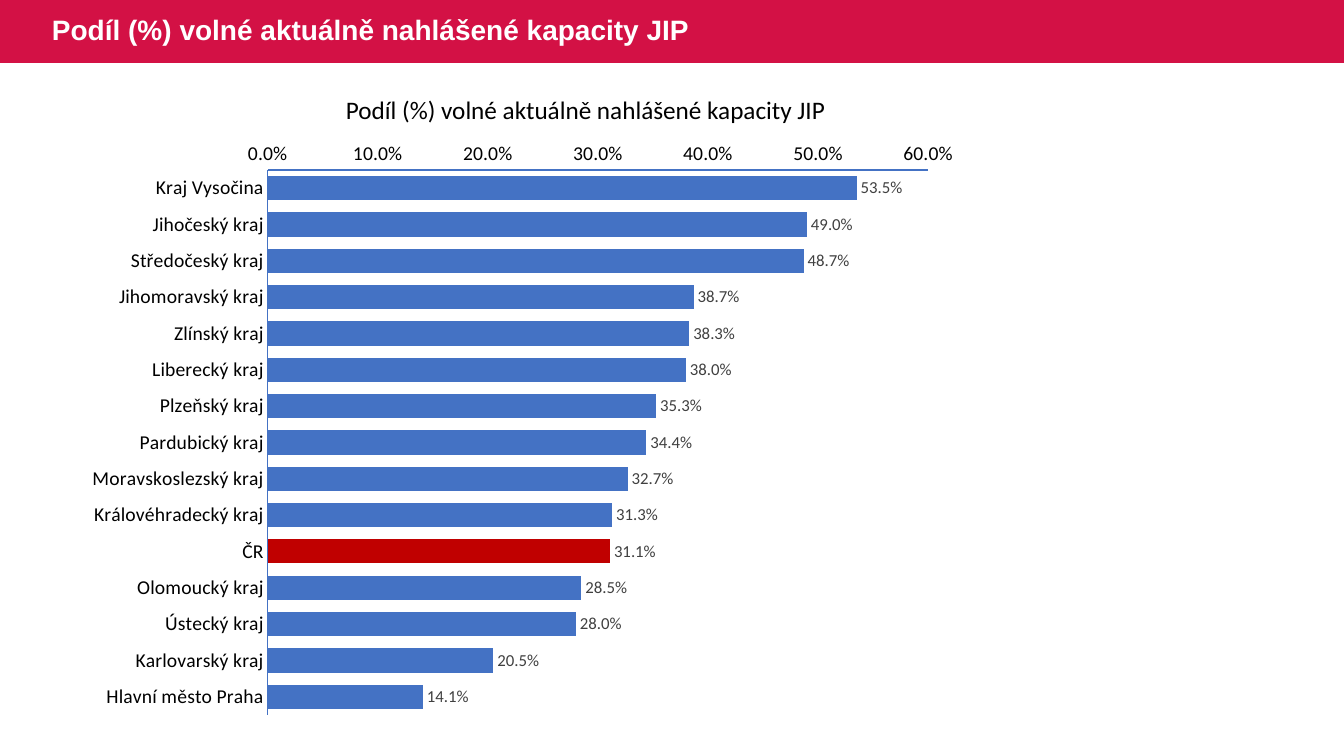
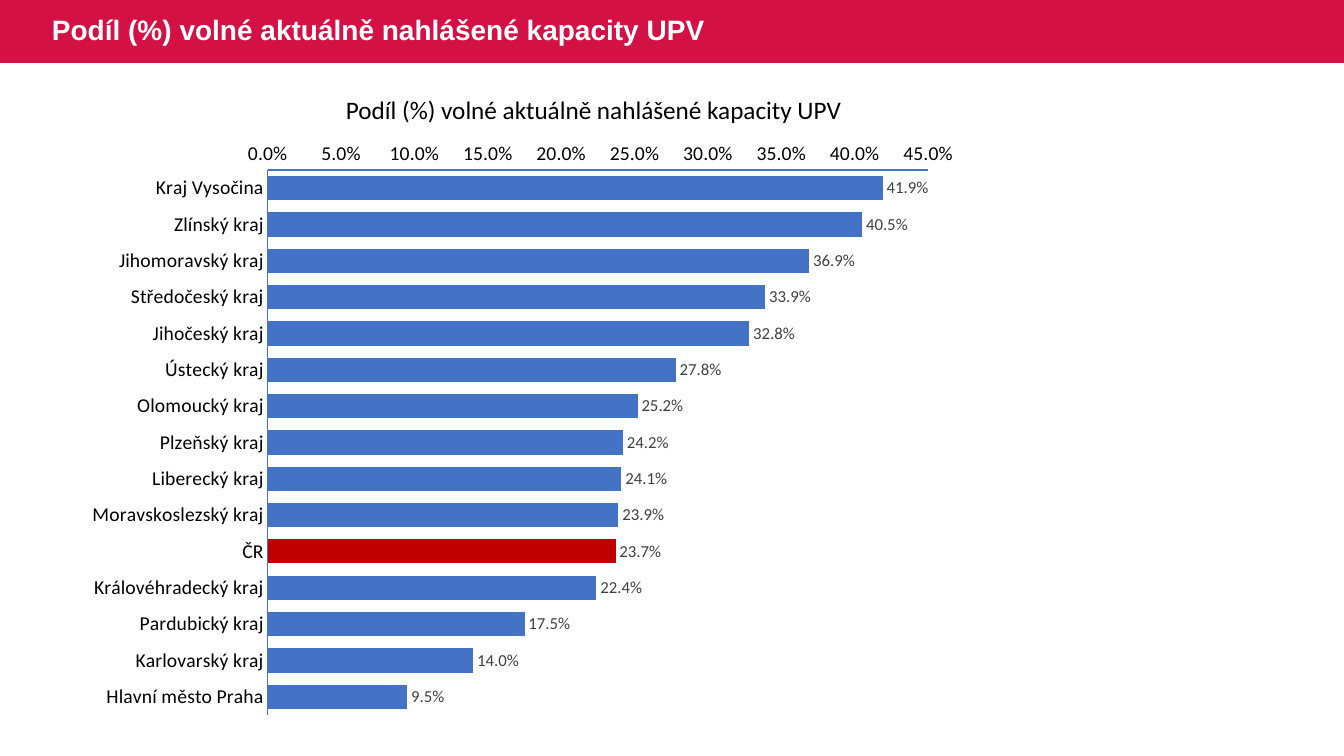
from dataclasses import dataclass

from pptx import Presentation
from pptx.chart.data import CategoryChartData
from pptx.dml.color import RGBColor
from pptx.enum.chart import XL_CHART_TYPE, XL_LABEL_POSITION, XL_TICK_MARK
from pptx.enum.shapes import MSO_SHAPE
from pptx.enum.text import MSO_ANCHOR, MSO_AUTO_SIZE
from pptx.oxml import parse_xml
from pptx.oxml.ns import nsdecls, qn
from pptx.util import Emu, Pt

EMU_PER_PX = 9525
SLIDE_SIZE = (1280, 720)
BAND_BOX = (0, 0, 1280, 60)
TITLE_BOX = (40, 0, 1110, 60)
CAPTION_BOX = (320, 85, 495, 38)
CHART_BOX = (71, 125, 853, 569)
PLOT_BOX = (255, 162, 629, 519)
NATIONAL = "ČR"


@dataclass(frozen=True)
class Theme:
    """Colours, fonts and type sizes of the presentation."""

    band: str = "D31145"
    title: str = "FFFFFF"
    text: str = "000000"
    label: str = "404040"
    bar: str = "4472C4"
    highlight: str = "C00000"
    title_font: str = "Arial"
    body_font: str = "Calibri"
    title_size: int = 20
    caption_size: int = 18
    axis_size: int = 14
    label_size: int = 12
    chart_size: int = 10


def px(*lengths):
    """Turn pixel lengths into EMU."""
    return [Emu(length * EMU_PER_PX) for length in lengths]


def set_font(font, name, size, color, bold=False):
    """Apply typeface, size, colour and weight to a font."""
    font.name, font.size, font.bold = name, Pt(size), bold
    font.color.rgb = RGBColor.from_string(color)


def write_text(text_frame, text, *, name, size, color, bold=False,
               anchor=MSO_ANCHOR.TOP, wrap=True, grow=False, line_spacing=None):
    """Write one formatted paragraph into a text frame."""
    text_frame.word_wrap = wrap
    text_frame.auto_size = MSO_AUTO_SIZE.SHAPE_TO_FIT_TEXT if grow else MSO_AUTO_SIZE.NONE
    text_frame.vertical_anchor = anchor
    paragraph = text_frame.paragraphs[0]
    paragraph.line_spacing = line_spacing
    run = paragraph.add_run()
    run.text = text
    set_font(run.font, name, size, color, bold)


class Deck:
    """Draw styled elements on the current slide."""

    def __init__(self, theme):
        """Start an empty widescreen presentation."""
        self.theme = theme
        self.presentation = Presentation()
        self.presentation.slide_width, self.presentation.slide_height = px(*SLIDE_SIZE)
        self.slide = None

    def add_slide(self, title):
        """Add a slide with the title band."""
        theme = self.theme
        self.slide = self.presentation.slides.add_slide(self.presentation.slide_layouts[6])
        band = self.slide.shapes.add_shape(MSO_SHAPE.RECTANGLE, *px(*BAND_BOX))
        band.shadow.inherit = False
        band.fill.solid()
        band.fill.fore_color.rgb = RGBColor.from_string(theme.band)
        band.line.fill.background()
        self.add_text(TITLE_BOX, title, name=theme.title_font, size=theme.title_size,
                      color=theme.title, bold=True, anchor=MSO_ANCHOR.MIDDLE,
                      line_spacing=0.9)

    def add_text(self, box, text, **text_format):
        """Add a text box."""
        shape = self.slide.shapes.add_textbox(*px(*box))
        write_text(shape.text_frame, text, **text_format)

    def add_caption(self, text):
        """Add the heading above the chart."""
        theme = self.theme
        self.add_text(CAPTION_BOX, text, name=theme.body_font, size=theme.caption_size,
                      color=theme.text, wrap=False, grow=True)

    def style_axis(self, axis):
        """Style one chart axis."""
        theme = self.theme
        axis.has_major_gridlines = False
        axis.major_tick_mark = axis.minor_tick_mark = XL_TICK_MARK.NONE
        axis.format.line.color.rgb = RGBColor.from_string(theme.bar)
        axis.format.line.width = Pt(0.75)
        set_font(axis.tick_labels.font, theme.body_font, theme.axis_size, theme.text)

    def add_bar_chart(self, shares, maximum, step):
        """Add a ranked bar chart with the national bar highlighted."""
        theme = self.theme
        data = CategoryChartData(number_format="0.0%")
        data.categories = list(shares)
        data.add_series("Series 1", [percent / 100 for percent in shares.values()])
        chart = self.slide.shapes.add_chart(
            XL_CHART_TYPE.BAR_CLUSTERED, *px(*CHART_BOX), data).chart
        chart.has_title = chart.has_legend = False
        set_font(chart.font, theme.body_font, theme.chart_size, theme.text)

        self.style_axis(chart.category_axis)
        self.style_axis(chart.value_axis)
        chart.category_axis.reverse_order = True
        chart.value_axis.minimum_scale = 0
        chart.value_axis.maximum_scale = maximum
        chart.value_axis.major_unit = step
        chart.value_axis.tick_labels.number_format = "0.0%"
        chart.value_axis.tick_labels.number_format_is_linked = False

        plot = chart.plots[0]
        plot.gap_width = 50
        plot.vary_by_categories = False
        series = plot.series[0]
        national_bar = series.points[list(shares).index(NATIONAL)]
        for bar, color in ((series, theme.bar), (national_bar, theme.highlight)):
            bar.format.fill.solid()
            bar.format.fill.fore_color.rgb = RGBColor.from_string(color)

        labels = series.data_labels
        labels.show_value = True
        labels.number_format, labels.number_format_is_linked = "0.0%", False
        labels.position = XL_LABEL_POSITION.OUTSIDE_END
        set_font(labels.font, theme.body_font, theme.label_size, theme.label)
        self.place_plot(chart)

    def place_plot(self, chart):
        """Fix the inner plot area inside the chart frame."""
        chart_left, chart_top, chart_width, chart_height = CHART_BOX
        left, top, width, height = PLOT_BOX
        fractions = {"x": (left - chart_left) / chart_width,
                     "y": (top - chart_top) / chart_height,
                     "w": width / chart_width, "h": height / chart_height}
        modes = "".join(f'<c:{key}Mode val="edge"/>' for key in "xy")
        values = "".join(f'<c:{key} val="{value:.4f}"/>' for key, value in fractions.items())
        plot_area = chart.element.find(f"{qn('c:chart')}/{qn('c:plotArea')}")
        for layout in plot_area.findall(qn("c:layout")):
            plot_area.remove(layout)
        plot_area.insert(0, parse_xml(
            f'<c:layout {nsdecls("c")}><c:manualLayout><c:layoutTarget val="inner"/>'
            f'{modes}{values}</c:manualLayout></c:layout>'))


INTENSIVE_CARE = {
    "Kraj Vysočina": 53.5, "Jihočeský kraj": 49.0, "Středočeský kraj": 48.7,
    "Jihomoravský kraj": 38.7, "Zlínský kraj": 38.3, "Liberecký kraj": 38.0,
    "Plzeňský kraj": 35.3, "Pardubický kraj": 34.4, "Moravskoslezský kraj": 32.7,
    "Královéhradecký kraj": 31.3, NATIONAL: 31.1, "Olomoucký kraj": 28.5,
    "Ústecký kraj": 28.0, "Karlovarský kraj": 20.5, "Hlavní město Praha": 14.1,
}
VENTILATION = {
    "Kraj Vysočina": 41.9, "Zlínský kraj": 40.5, "Jihomoravský kraj": 36.9,
    "Středočeský kraj": 33.9, "Jihočeský kraj": 32.8, "Ústecký kraj": 27.8,
    "Olomoucký kraj": 25.2, "Plzeňský kraj": 24.2, "Liberecký kraj": 24.1,
    "Moravskoslezský kraj": 23.9, NATIONAL: 23.7, "Královéhradecký kraj": 22.4,
    "Pardubický kraj": 17.5, "Karlovarský kraj": 14.0, "Hlavní město Praha": 9.5,
}


def main():
    """Build and save the presentation."""
    deck = Deck(Theme())
    for capacity, shares, maximum, step in (("JIP", INTENSIVE_CARE, 0.6, 0.1),
                                            ("UPV", VENTILATION, 0.45, 0.05)):
        title = f"Podíl (%) volné aktuálně nahlášené kapacity {capacity}"
        deck.add_slide(title)
        deck.add_bar_chart(shares, maximum, step)
        deck.add_caption(title)
    deck.presentation.save("out.pptx")


if __name__ == "__main__":
    main()
